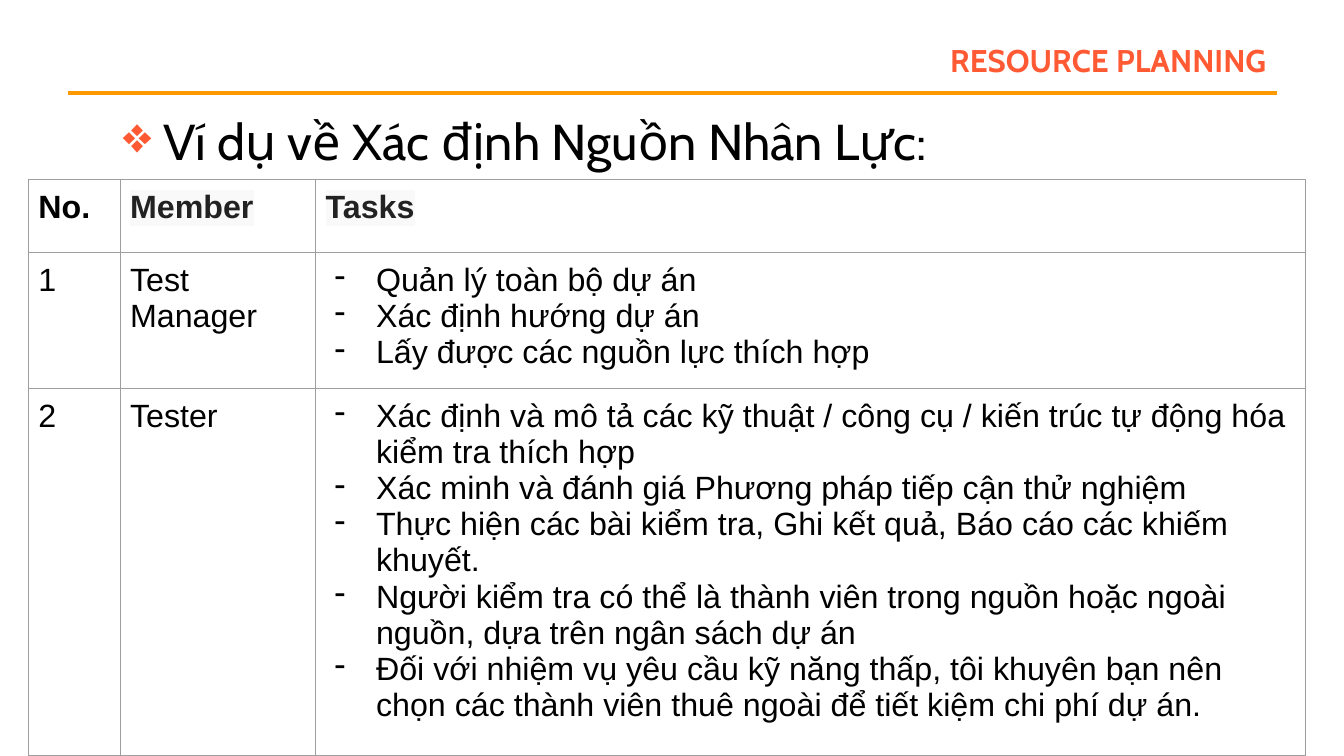
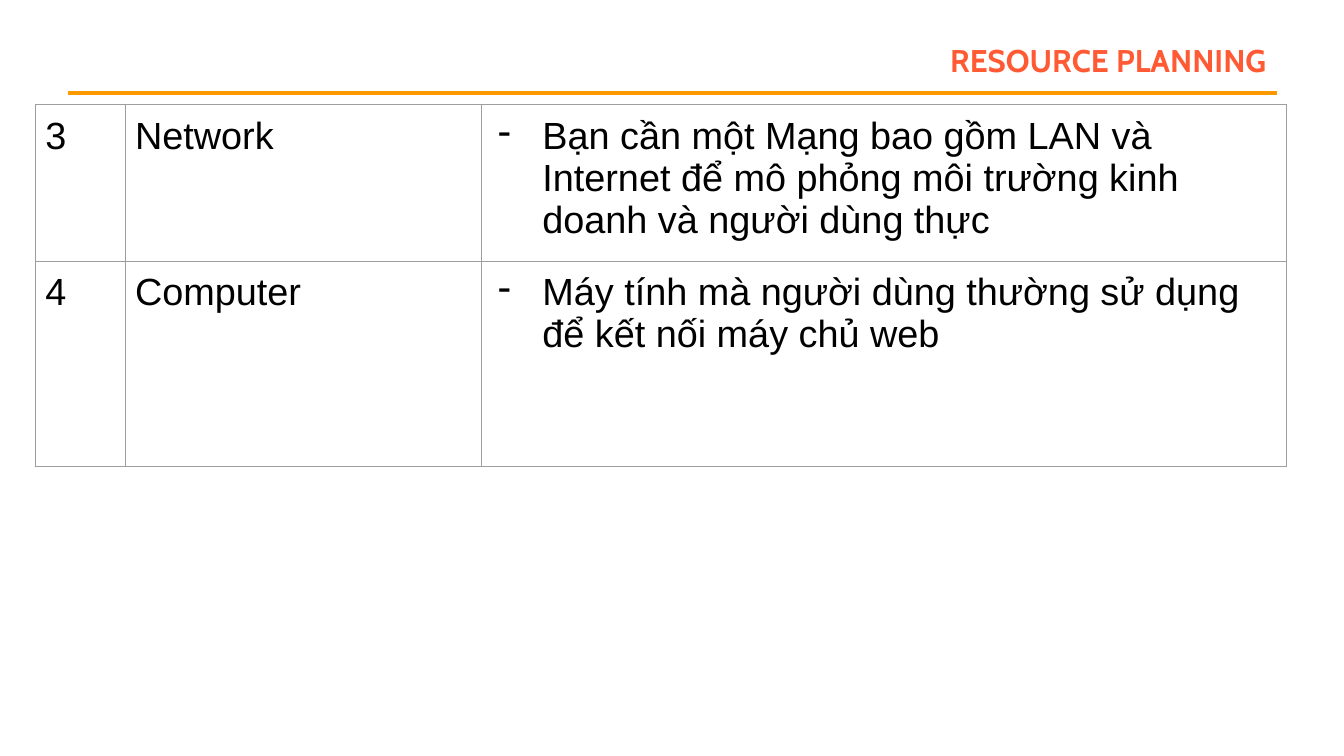
from lxml import etree
from pptx import Presentation
from pptx.dml.color import RGBColor
from pptx.enum.shapes import MSO_CONNECTOR
from pptx.enum.text import MSO_ANCHOR, PP_ALIGN
from pptx.oxml.ns import qn
from pptx.util import Inches, Pt

LINE = MSO_CONNECTOR.STRAIGHT
MIDDLE = MSO_ANCHOR.MIDDLE
RIGHT = PP_ALIGN.RIGHT

ORANGE = RGBColor(0xFF, 0x99, 0x00)
CORAL = RGBColor(0xFF, 0x5A, 0x33)
BLACK = RGBColor(0x00, 0x00, 0x00)
DARK = RGBColor(0x22, 0x22, 0x22)
PALE = RGBColor(0xF9, 0xF9, 0xF9)
GREY = RGBColor(0x9E, 0x9E, 0x9E)

HEAD = ["No.", "Member", "Tasks"]
STAFF = [
    ["1", "Test Manager", [
        "Quản lý toàn bộ dự án",
        "Xác định hướng dự án",
        "Lấy được các nguồn lực thích hợp",
    ]],
    ["2", "Tester", [
        "Xác định và mô tả các kỹ thuật / công cụ / kiến trúc tự động hóa kiểm tra thích hợp",
        "Xác minh và đánh giá Phương pháp tiếp cận thử nghiệm",
        "Thực hiện các bài kiểm tra, Ghi kết quả, Báo cáo các khiếm khuyết.",
        "Người kiểm tra có thể là thành viên trong nguồn hoặc ngoài nguồn, dựa trên ngân sách dự án",
        "Đối với nhiệm vụ yêu cầu kỹ năng thấp, tôi khuyên bạn nên chọn các thành viên thuê ngoài để tiết kiệm chi phí dự án.",
    ]],
]
GEAR = [
    ["3", "Network", [
        "Bạn cần một Mạng bao gồm LAN và Internet để mô phỏng môi trường kinh doanh và người dùng thực",
    ]],
    ["4", "Computer", [
        "Máy tính mà người dùng thường sử dụng để kết nối máy chủ web",
    ]],
]


def add_tint(parent, tag, color):
    node = etree.SubElement(parent, qn(tag))
    etree.SubElement(node, qn("a:srgbClr"), val=str(color))
    return node


def add_bullet(para, mark, color, left, hang):
    props = para._p.get_or_add_pPr()
    props.set("marL", str(Inches(left)))
    props.set("indent", str(-Inches(hang)))
    add_tint(props, "a:buClr", color)
    etree.SubElement(props, qn("a:buChar"), char=mark)


def set_font(font, name, size, color, bold=False):
    font.name = name
    font.size = Pt(size)
    font.color.rgb = color
    font.bold = bold


def add_text(slide, box, text):
    frame = slide.shapes.add_textbox(*map(Inches, box)).text_frame
    frame.word_wrap = True
    para = frame.paragraphs[0]
    para.text = text
    return frame, para


def add_frame(deck):
    slide = deck.slides.add_slide(deck.slide_layouts[6])
    rule = slide.shapes.add_connector(
        LINE, Inches(0.67), Inches(0.92), Inches(12.67), Inches(0.92))
    rule.line.color.rgb = ORANGE
    rule.line.width = Pt(3)
    etree.SubElement(rule._element.spPr, qn("a:effectLst"))
    frame, para = add_text(slide, (2.44, 0.3, 10.22, 0.53), "resource planning")
    frame.vertical_anchor = MIDDLE
    para.alignment = RIGHT
    set_font(para.font, "Cabin", 28, CORAL, True)
    para.runs[0].font._element.set("cap", "small")
    return slide


def add_lead(slide, box, text):
    para = add_text(slide, box, text)[1]
    add_bullet(para, "❖", CORAL, 0.81, 0.4)
    set_font(para.font, "Cabin", 36, BLACK)


def add_edges(cell):
    props = cell._tc.get_or_add_tcPr()
    for spot, side in enumerate("LRTB"):
        edge = etree.Element(qn("a:ln" + side), w=str(Pt(0.75)))
        add_tint(edge, "a:solidFill", GREY)
        props.insert(spot, edge)


def fill_cell(cell, text, size, hang, bold, color, tint):
    cell.fill.background()
    cell.margin_left = cell.margin_right = Inches(0.1)
    cell.margin_top = cell.margin_bottom = Inches(0.1)
    add_edges(cell)
    listed = isinstance(text, list)
    frame = cell.text_frame
    frame.text = "\n".join(text) if listed else text
    for para in frame.paragraphs:
        if listed:
            add_bullet(para, "-", BLACK, 0.5, hang)
        set_font(para.font, "Arial", size, color, bold)
        if tint:
            add_tint(para.runs[0].font._element, "a:highlight", PALE)


def add_grid(slide, spot, cols, highs, rows, size, hang):
    left, top = spot
    table = slide.shapes.add_table(
        len(rows), len(cols), Inches(left), Inches(top),
        Inches(sum(cols)), Inches(sum(highs))).table
    table.first_row = table.horz_banding = False
    for col, width in zip(table.columns, cols):
        col.width = Inches(width)
    for row, high, texts in zip(table.rows, highs, rows):
        row.height = Inches(high)
        head = texts is HEAD
        for num, (cell, text) in enumerate(zip(row.cells, texts)):
            tint = head and num > 0
            fill_cell(cell, text, size, hang, head, DARK if tint else BLACK, tint)


def main():
    deck = Presentation()
    deck.slide_width, deck.slide_height = Inches(13.33), Inches(7.5)
    slide = add_frame(deck)
    add_lead(slide, (0.71, 1.04, 12.42, 0.74), "Ví dụ về Xác định Nguồn Nhân Lực:")
    add_grid(slide, (0.28, 1.78), (0.91, 1.94, 9.82), (0.72, 1.33, 3.59),
             [HEAD] + STAFF, 23, 0.41)
    slide = add_frame(deck)
    add_grid(slide, (0.35, 1.04), (0.89, 3.54, 7.98), (1.33, 2.04),
             GEAR, 27, 0.44)
    deck.save("out.pptx")


if __name__ == "__main__":
    main()
